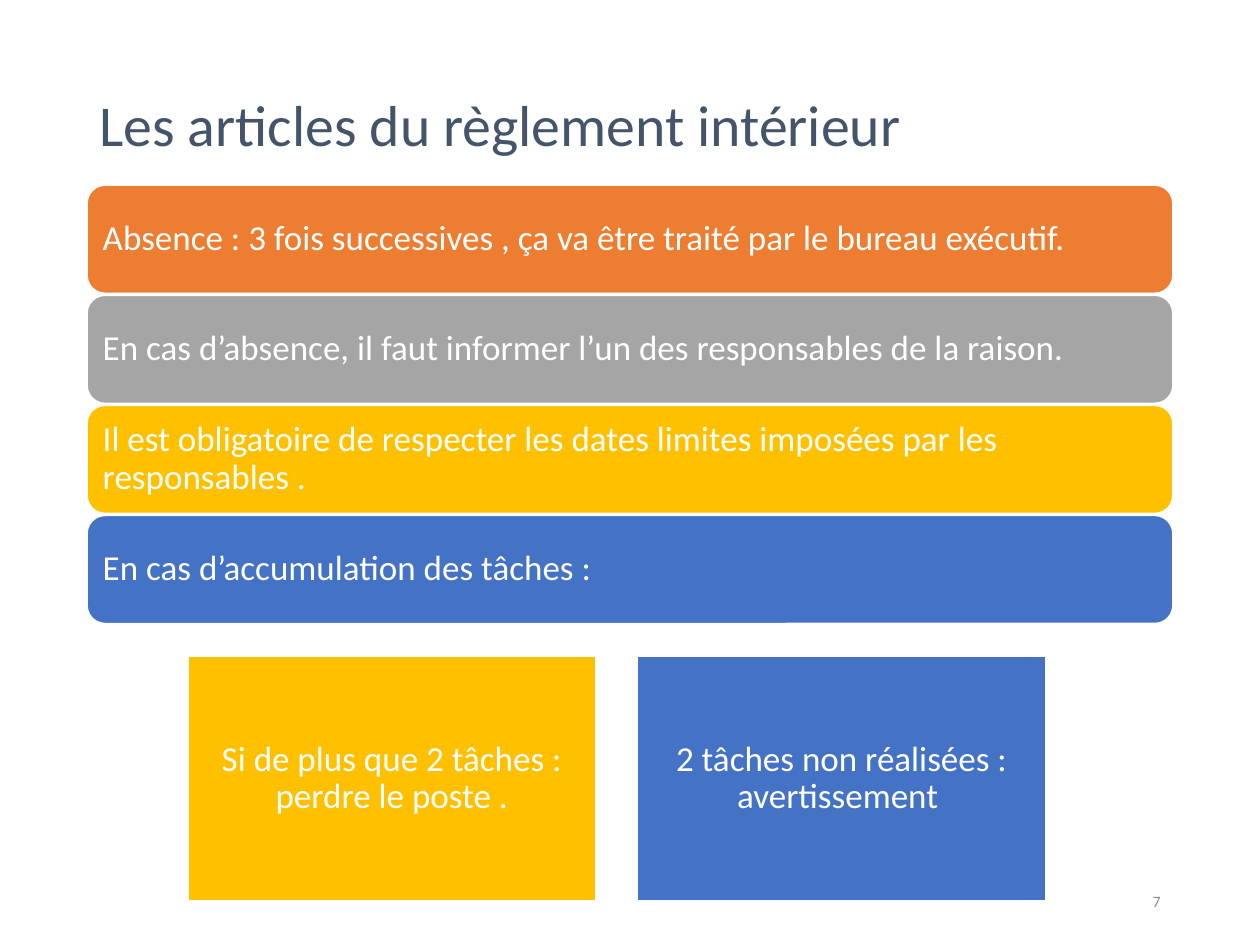
"""Build the slide on the articles of the internal rules."""
from pptx import Presentation
from pptx import util as u
from pptx.dml.color import RGBColor
from pptx.enum import shapes, text

WHITE = RGBColor(0xFF, 0xFF, 0xFF)
SLATE = RGBColor(0x44, 0x54, 0x6A)
ORANGE = RGBColor(0xED, 0x7D, 0x31)
GREY = RGBColor(0xA5, 0xA5, 0xA5)
GOLD = RGBColor(0xFF, 0xC0, 0x00)
BLUE = RGBColor(0x44, 0x72, 0xC4)
NUMBER_GREY = RGBColor(0x8C, 0x8C, 0x8C)

LEFT, WIDTH = 49.7, 620.6
ARTICLE_TOP, ARTICLE_HEIGHT, ARTICLE_STEP = 105.8, 61.9, 62.9
CASE_LEFT, CASE_TOP, CASE_STEP = 107.3, 375.1, 257
CASE_WIDTH, CASE_HEIGHT = 233.3, 139.7

ARTICLES = [
    ("Absence : 3 fois successives , ça va être traité par le bureau exécutif.", ORANGE),
    ("En cas d’absence, il faut informer l’un des responsables de la raison.", GREY),
    ("Il est obligatoire de respecter les dates limites imposées par les responsables .", GOLD),
    ("En cas d’accumulation des tâches :", BLUE),
]
CASES = [
    ("Si de plus que 2 tâches : perdre le poste .", GOLD),
    ("2 tâches non réalisées : avertissement ", BLUE),
]


def write(frame, words, size=20, color=WHITE, font="Calibri",
          align=text.PP_ALIGN.LEFT, spacing=0.9, inset=(6, 6)):
    frame.word_wrap = True
    frame.vertical_anchor = text.MSO_ANCHOR.MIDDLE
    frame.margin_left = frame.margin_right = u.Pt(inset[0])
    frame.margin_top = frame.margin_bottom = u.Pt(inset[1])
    para = frame.paragraphs[0]
    para.alignment = align
    para.line_spacing = spacing
    span = para.add_run()
    span.text = words
    span.font.name = font
    span.font.size = u.Pt(size)
    span.font.color.rgb = color


class Builder:
    def __init__(self, page, border=WHITE, border_width=1):
        self.page = page
        self.border = border
        self.border_width = border_width

    def label(self, words, *place, **style):
        box = self.page.shapes.add_textbox(*map(u.Pt, place))
        write(box.text_frame, words, inset=(7.2, 3.6), **style)

    def panel(self, kind, words, fill, *place, **style):
        box = self.page.shapes.add_shape(kind, *map(u.Pt, place))
        box.shadow.inherit = False
        box.fill.solid()
        box.fill.fore_color.rgb = fill
        box.line.color.rgb = self.border
        box.line.width = u.Pt(self.border_width)
        write(box.text_frame, words, **style)


def main():
    deck = Presentation()
    deck.slide_width, deck.slide_height = u.Pt(720), u.Pt(540)
    builder = Builder(deck.slides.add_slide(deck.slide_layouts[6]))

    builder.label("Les articles du règlement intérieur",
                  LEFT, 20.9, WIDTH, 104.4, size=33, color=SLATE)
    for row, (words, fill) in enumerate(ARTICLES):
        builder.panel(shapes.MSO_SHAPE.ROUNDED_RECTANGLE, words, fill,
                      LEFT, ARTICLE_TOP + row * ARTICLE_STEP, WIDTH, ARTICLE_HEIGHT)
    builder.label("7", 508.3, 500.4, 162, 28.8, size=9, color=NUMBER_GREY,
                  align=text.PP_ALIGN.RIGHT, spacing=1.0)
    for column, (words, fill) in enumerate(CASES):
        builder.panel(shapes.MSO_SHAPE.RECTANGLE, words, fill,
                      CASE_LEFT + column * CASE_STEP, CASE_TOP, CASE_WIDTH, CASE_HEIGHT,
                      align=text.PP_ALIGN.CENTER)
    deck.save("out.pptx")


if __name__ == "__main__":
    main()
